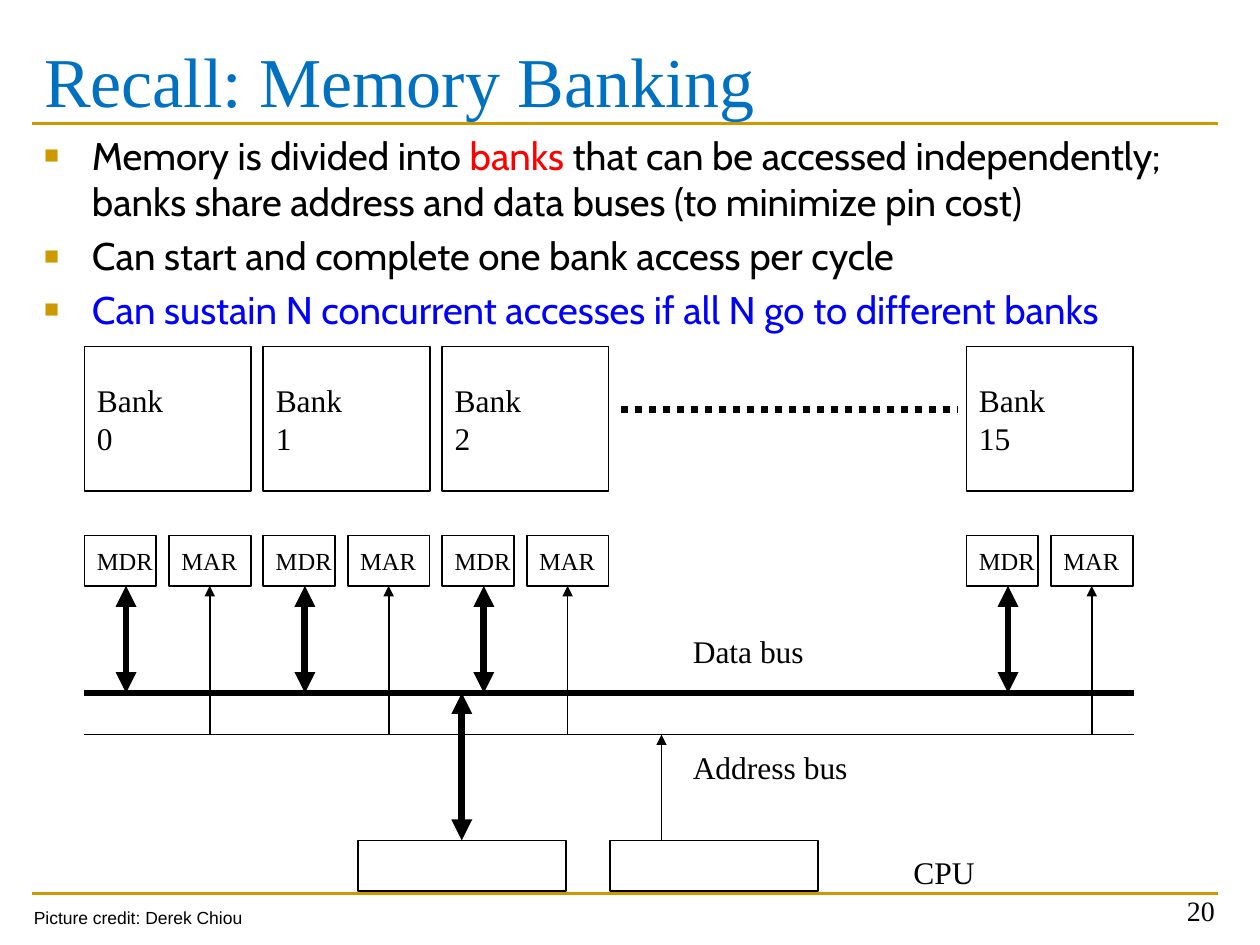
from lxml import etree
from pptx import Presentation
from pptx.dml.color import RGBColor
from pptx.enum import dml, shapes, text
from pptx.oxml import ns
from pptx.util import Inches, Pt

SERIF = "Times New Roman"
BLACK, GOLD, BLUE, RED = "000000", "CC9900", "0000FF", "FF0000"

# Content
TITLE = "Recall: Memory Banking"
BULLETS = [
    [("Memory is divided into ", BLACK), ("banks", RED),
     (" that can be accessed independently; banks share address and data "
      "buses (to minimize pin cost)", BLACK)],
    [("Can start and complete one bank access per cycle", BLACK)],
    [("Can sustain N concurrent accesses if all N go to different banks", BLUE)],
]
BANKS = [("0", 0.67), ("1", 2.09), ("2", 3.51), ("15", 7.67)]
LABELS = [("Data bus", 5.4, 4.97, 1.08), ("Address bus", 5.4, 5.89, 1.43),
          ("CPU", 7.15, 6.72, 0.69)]

# Diagram levels
BANK_TOP, REGISTER_TOP, CPU_TOP = 2.75, 4.25, 6.67
DATA_BUS, ADDRESS_BUS = 5.5, 5.83
BUS_LEFT, BUS_RIGHT = 0.67, 9
REGISTER_HEIGHT = 0.4
REGISTER_BOTTOM = REGISTER_TOP + REGISTER_HEIGHT

deck = Presentation()
deck.slide_width, deck.slide_height = Inches(10), Inches(7.5)
page = deck.slides.add_slide(deck.slide_layouts[1])


def color(value):
    return RGBColor.from_string(value)


def place(item, left, top, width, height):
    item.left, item.top = Inches(left), Inches(top)
    item.width, item.height = Inches(width), Inches(height)


def add_span(para, words, size=18, font=SERIF, fill=BLACK):
    span = para.add_run()
    span.text = words
    span.font.size, span.font.name = Pt(size), font
    span.font.color.rgb = color(fill)


def write(frame, lines, align=text.PP_ALIGN.LEFT, anchor=text.MSO_ANCHOR.TOP,
          wrap=True, right=0.1, **style):
    frame.auto_size = text.MSO_AUTO_SIZE.NONE
    frame.word_wrap = wrap
    frame.vertical_anchor = anchor
    frame.margin_right = Inches(right)
    for index, words in enumerate(lines):
        para = frame.add_paragraph() if index else frame.paragraphs[0]
        para.alignment = align
        add_span(para, words, **style)


def add_label(words, left, top, width, height, **style):
    label = page.shapes.add_textbox(0, 0, 0, 0)
    place(label, left, top, width, height)
    write(label.text_frame, [words], **style)


def add_box(left, top, width, height, lines=(), size=18):
    box = page.shapes.add_shape(shapes.MSO_SHAPE.RECTANGLE, Inches(left),
                                Inches(top), Inches(width), Inches(height))
    box.shadow.inherit = False
    box.fill.background()
    box.line.color.rgb, box.line.width = color(BLACK), Pt(1)
    write(box.text_frame, lines, anchor=text.MSO_ANCHOR.MIDDLE, right=0, size=size)
    return box


def add_line(x1, y1, x2, y2, width=1, fill=BLACK, dash=None, ends=()):
    line = page.shapes.add_connector(shapes.MSO_CONNECTOR.STRAIGHT, Inches(x1),
                                     Inches(y1), Inches(x2), Inches(y2))
    line.line.color.rgb, line.line.width = color(fill), Pt(width)
    if dash:
        line.line.dash_style = dash
    outline = line.line._get_or_add_ln()
    for end in ends:
        etree.SubElement(outline, ns.qn("a:" + end), type="triangle")
    etree.SubElement(line._element.spPr, ns.qn("a:effectLst"))
    return line


def add_bullet(para):
    props = para._p.get_or_add_pPr()
    props.set("marL", str(Inches(0.38)))
    props.set("indent", str(-Inches(0.38)))
    hue = etree.SubElement(props, ns.qn("a:buClr"))
    etree.SubElement(hue, ns.qn("a:srgbClr"), val=GOLD)
    etree.SubElement(props, ns.qn("a:buSzPct"), val="65000")
    etree.SubElement(props, ns.qn("a:buFont"), typeface="Arial")
    etree.SubElement(props, ns.qn("a:buChar"), char="■")


ONE_WAY, TWO_WAY = ("headEnd",), ("headEnd", "tailEnd")

# Rules above and below the content
for y in (7.09, 0.98):
    add_line(0.25, y, 9.67, y, width=1.5, fill=GOLD)

# Title and bullet list
title, body = page.placeholders
place(title, 0.25, 0.17, 9.42, 1.17)
title.text_frame.margin_top = Inches(0.13)
write(title.text_frame, [TITLE], size=40, fill="0070C0")

place(body, 0.25, 1, 9.75, 5.77)
body.text_frame.auto_size = text.MSO_AUTO_SIZE.NONE
for index, spans in enumerate(BULLETS):
    frame = body.text_frame
    para = frame.add_paragraph() if index else frame.paragraphs[0]
    para.space_before = Pt(4.4)
    add_bullet(para)
    for words, fill in spans:
        add_span(para, words, size=22, font="Cabin", fill=fill)

# Buses
add_line(BUS_LEFT, DATA_BUS, BUS_RIGHT, DATA_BUS, width=4)
add_line(BUS_LEFT, ADDRESS_BUS, BUS_RIGHT, ADDRESS_BUS)

# Banks with their registers and bus arrows
for number, left in BANKS:
    add_box(left, BANK_TOP, 1.32, 1.15, ["Bank", number])
    add_box(left, REGISTER_TOP, 0.57, REGISTER_HEIGHT, ["MDR"], size=14)
    mar = add_box(left + 0.67, REGISTER_TOP, 0.65, REGISTER_HEIGHT, ["MAR"], size=14)
    data_x, address_x = left + 0.33, left + 0.995
    add_line(data_x, REGISTER_BOTTOM, data_x, DATA_BUS, width=4, ends=TWO_WAY)
    arrow = add_line(address_x, REGISTER_BOTTOM, address_x, ADDRESS_BUS, ends=ONE_WAY)
    arrow.begin_connect(mar, 2)
add_line(4.93, 3.25, 7.6, 3.25, width=4, dash=dml.MSO_LINE.ROUND_DOT)

# CPU side
data_port, address_port = [add_box(left, CPU_TOP, 1.65, 0.4) for left in (2.84, 4.84)]
arrow = add_line(3.665, DATA_BUS, 3.665, CPU_TOP, width=4, ends=TWO_WAY)
arrow.end_connect(data_port, 0)
add_line(5.25, ADDRESS_BUS, 5.25, CPU_TOP, ends=ONE_WAY)

# Labels, credit and page number
for words, left, top, width in LABELS:
    add_label(words, left, top, width, 0.4, wrap=False)
add_label("Picture credit: Derek Chiou", 0.17, 7.15, 1.88, 0.27,
          wrap=False, size=10, font="Arial")
add_label("20", 7.41, 6.91, 2.33, 0.5, size=16,
          align=text.PP_ALIGN.RIGHT, anchor=text.MSO_ANCHOR.BOTTOM)

deck.save("out.pptx")
